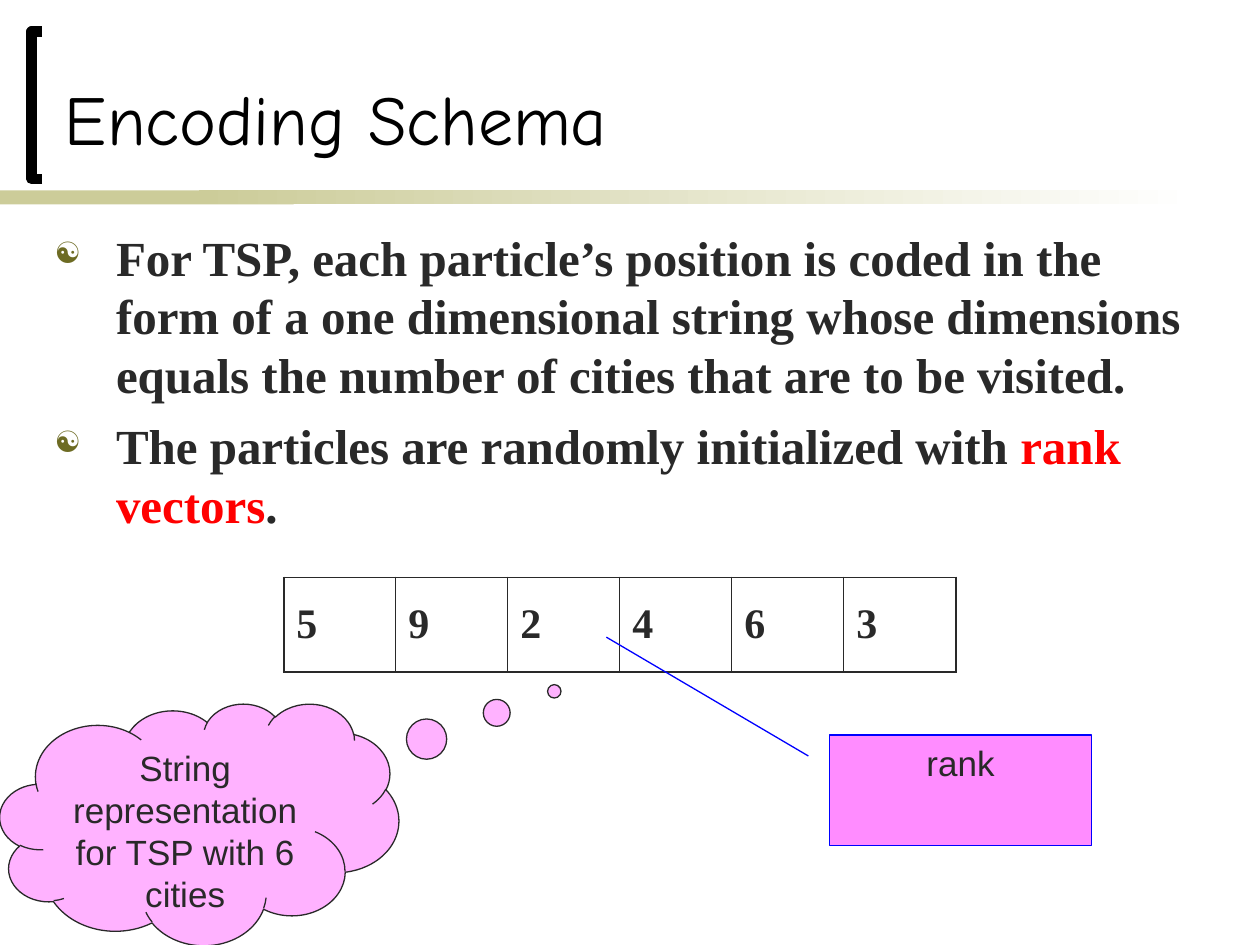
from lxml import etree
from pptx import Presentation
from pptx.dml.color import RGBColor
from pptx.enum.shapes import MSO_SHAPE
from pptx.enum.text import MSO_ANCHOR, PP_ALIGN
from pptx.oxml.ns import qn
from pptx.util import Cm, Pt

RECT, CLOUD, CALLOUT = MSO_SHAPE.RECTANGLE, MSO_SHAPE.CLOUD_CALLOUT, MSO_SHAPE.LINE_CALLOUT_1
TOP, MIDDLE, BOTTOM = MSO_ANCHOR.TOP, MSO_ANCHOR.MIDDLE, MSO_ANCHOR.BOTTOM
CENTER, LEFT = PP_ALIGN.CENTER, PP_ALIGN.LEFT

# Content
TITLE = "Encoding Schema"
POINTS = [
    [("For TSP, each particle’s position is coded in the form of a one dimensional "
      "string whose dimensions equals the number of cities that are to be visited.", "ink")],
    [("The particles are randomly initialized with ", "ink"),
     ("rank vectors", "red"), (".", "ink")],
]
RANKS = [5, 9, 2, 4, 6, 3]
# preset, text, box in cm, adjustments, fill opacity in %, line colour
CALLOUTS = [
    (CLOUD, "String representation for TSP with 6 cities",
     (0, 14.18, 8.04, 4.87), (0.89, -0.55), 30, "ink"),
    (CALLOUT, "rank", (16.72, 14.82, 5.29, 2.22),
     (0.19, -0.08, -0.89, -0.85), 45, "blue"),
]

# Look
COLORS = {"ink": "292929", "black": "000000", "red": "FF0000", "blue": "0000FF",
          "khaki": "CCCC99", "white": "FFFFFF", "olive": "6D6B23", "pink": "FF00FF"}
FONTS = {
    "title": {"name": "Comic Neue", "size": Pt(40), "bold": False},
    "body": {"name": "Times New Roman", "size": Pt(28), "bold": True},
    "rank": {"name": "Times New Roman", "size": Pt(24), "bold": True},
    "callout": {"name": "Arial", "size": Pt(20), "bold": False},
}
PADDING = {"margin_left": Cm(0.25), "margin_right": Cm(0.25),
           "margin_top": Cm(0.13), "margin_bottom": Cm(0.13), "word_wrap": True}


def rgb(color):
    return RGBColor.from_string(COLORS[color])


def apply(target, values):
    for name, value in values.items():
        setattr(target, name, value)


def add_run(paragraph, text, style, color):
    run = paragraph.add_run()
    run.text = text
    apply(run.font, FONTS[style])
    run.font.color.rgb = rgb(color)


def add_text_frame(box, anchor):
    frame = slide.shapes.add_textbox(*map(Cm, box)).text_frame
    apply(frame, {**PADDING, "vertical_anchor": anchor})
    return frame


def add_bullet(paragraph):
    props = paragraph._p.get_or_add_pPr()
    props.set("marL", str(Cm(1.24)))
    props.set("indent", str(-Cm(1.24)))
    bullet_color = etree.SubElement(props, qn("a:buClr"))
    etree.SubElement(bullet_color, qn("a:srgbClr"), val=COLORS["olive"])
    etree.SubElement(props, qn("a:buSzPct"), val="60000")
    etree.SubElement(props, qn("a:buChar"), char="☯")


def add_border(cell, side, width):
    line = etree.SubElement(cell._tc.get_or_add_tcPr(), qn(f"a:{side}"), w=str(Pt(width)))
    fill = etree.SubElement(line, qn("a:solidFill"))
    etree.SubElement(fill, qn("a:srgbClr"), val=COLORS["ink"])


deck = Presentation()
deck.slide_width, deck.slide_height = Cm(25.4), Cm(19.05)
slide = deck.slides.add_slide(deck.slide_layouts[6])

# Rule under the title: a plain start, then a fade to white
for left, width, fades in [(0, 5.92, False), (4.01, 20.12, True)]:
    rule = slide.shapes.add_shape(RECT, Cm(left), Cm(3.84), Cm(width), Cm(0.28))
    rule.shadow.inherit = False
    rule.line.fill.background()
    if fades:
        rule.fill.gradient()
        rule.fill.gradient_angle = 0
        for stop, color in zip(rule.fill.gradient_stops, ("khaki", "white")):
            stop.color.rgb = rgb(color)
    else:
        rule.fill.solid()
        rule.fill.fore_color.rgb = rgb("khaki")

# Bracket beside the title
near, far, upper, lower = Cm(0.64), Cm(0.85), Cm(0.64), Cm(3.61)
outline = slide.shapes.build_freeform(far, lower)
outline.add_line_segments([(near, lower), (near, upper), (far, upper)], close=False)
bracket = outline.convert_to_shape()
bracket.shadow.inherit = False
bracket.fill.background()
bracket.line.color.rgb = rgb("black")
bracket.line.width = Pt(6)

# Title
title = add_text_frame((1.06, 0.85, 23.65, 2.49), BOTTOM)
add_run(title.paragraphs[0], TITLE, "title", "black")

# Bulleted points
body = add_text_frame((0.85, 4.45, 23.92, 12.7), TOP)
for index, point in enumerate(POINTS):
    paragraph = body.add_paragraph() if index else body.paragraphs[0]
    add_bullet(paragraph)
    if index:
        paragraph.space_before = Pt(7)
    for text, color in point:
        add_run(paragraph, text, "body", color)

# Rank vector
grid = slide.shapes.add_table(1, len(RANKS), Cm(5.72), Cm(11.64), Cm(13.55), Cm(1.91)).table
apply(grid, {"first_row": False, "horz_banding": False})
last = len(RANKS) - 1
for index, rank in enumerate(RANKS):
    cell = grid.cell(0, index)
    cell.vertical_anchor = MIDDLE
    add_run(cell.text_frame.paragraphs[0], str(rank), "rank", "ink")
    widths = {"lnL": 0.45 if index else 1.08, "lnR": 1.08 if index == last else 0.45,
              "lnT": 1.08, "lnB": 1.08}
    for side, width in widths.items():
        add_border(cell, side, width)
    cell.fill.background()

# Callouts
for preset, text, box, adjustments, opacity, line_color in CALLOUTS:
    callout = slide.shapes.add_shape(preset, *map(Cm, box))
    callout.shadow.inherit = False
    for index, value in enumerate(adjustments):
        callout.adjustments[index] = value
    callout.fill.solid()
    callout.fill.fore_color.rgb = rgb("pink")
    tint = callout.fill._xPr.find(qn("a:solidFill"))[0]
    etree.SubElement(tint, qn("a:alpha"), val=str(opacity * 1000))
    callout.line.color.rgb = rgb(line_color)
    callout.line.width = Pt(0.75)
    apply(callout.text_frame, {**PADDING, "vertical_anchor": TOP})
    label = callout.text_frame.paragraphs[0]
    label.alignment = CENTER
    add_run(label, text, "callout", "ink")

deck.save("out.pptx")
